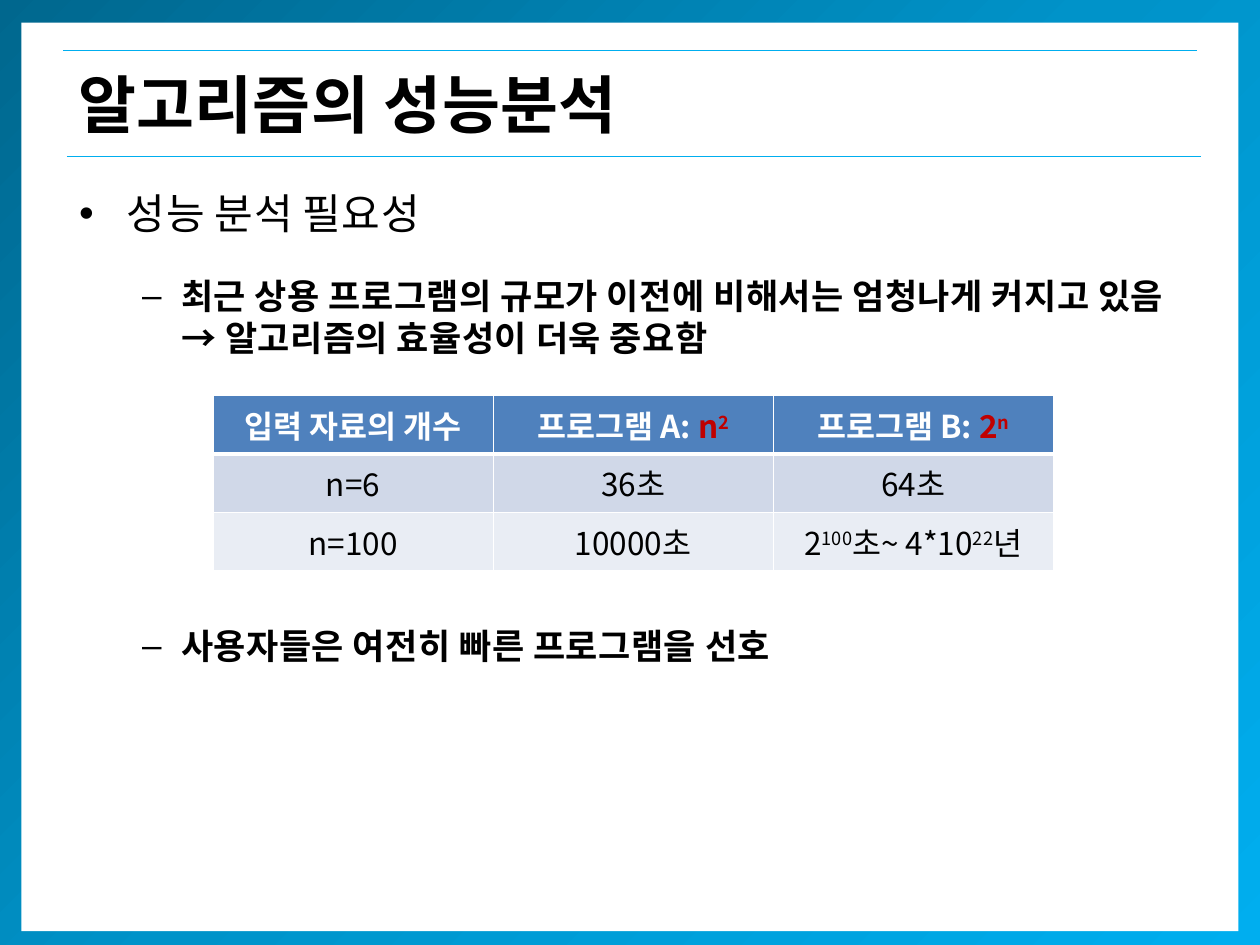
from copy import deepcopy

from lxml import etree
from pptx import Presentation
from pptx.dml.color import RGBColor
from pptx.enum import shapes, text
from pptx.oxml import ns
from pptx.util import Inches, Pt

FONT = "Noto Sans CJK KR"
BLACK = RGBColor(0x00, 0x00, 0x00)
WHITE = RGBColor(0xFF, 0xFF, 0xFF)
RED = RGBColor(0xC0, 0x00, 0x00)
CYAN = RGBColor(0x00, 0xAE, 0xEF)
FRAME_STOPS = [(0, RGBColor(0x00, 0x67, 0x8E)), (0.5, RGBColor(0x00, 0x93, 0xC9)), (1, CYAN)]
HEADER = RGBColor(0x4F, 0x81, 0xBD)
ROW_FILLS = [HEADER, RGBColor(0xD0, 0xD8, 0xE8), RGBColor(0xE9, 0xED, 0xF4)]

BODY = [
    ("성능 분석 필요성", "•", 24, False, 0.38, 0.38, 0),
    ("최근 상용 프로그램의 규모가 이전에 비해서는 엄청나게 커지고 있음 → 알고리즘의 효율성이 더욱 중요함",
     "–", 20, True, 0.81, 0.31, 21),
    ("사용자들은 여전히 빠른 프로그램을 선호", "–", 20, True, 0.81, 0.31, 152),
]
CELLS = [
    [[("입력 자료의 개수", WHITE, False)],
     [("프로그램 A: ", WHITE, False), ("n", RED, False), ("2", RED, True)],
     [("프로그램 B: ", WHITE, False), ("2", RED, False), ("n", RED, True)]],
    [[("n=6", BLACK, False)], [("36초", BLACK, False)], [("64초", BLACK, False)]],
    [[("n=100", BLACK, False)], [("10000초", BLACK, False)],
     [("2", BLACK, False), ("100", BLACK, True), ("초~ 4*10", BLACK, False),
      ("22", BLACK, True), ("년", BLACK, False)]],
]


def style_span(span, size, color, bold, raised=False, tracking=0):
    span.font.name = FONT
    span.font.size = Pt(size)
    span.font.bold = bold
    span.font.color.rgb = color
    properties = span._r.get_or_add_rPr()
    etree.SubElement(properties, ns.qn("a:ea"), typeface=FONT)
    if raised:
        properties.set("baseline", "30000")
    if tracking:
        properties.set("spc", str(tracking))


def add_panel(page, left, top, width, height):
    panel = page.shapes.add_shape(shapes.MSO_SHAPE.RECTANGLE, Inches(left), Inches(top),
                                  Inches(width), Inches(height))
    panel.shadow.inherit = False
    panel.line.fill.background()
    return panel


def fill_gradient(panel, stops):
    panel.fill.gradient()
    panel.fill.gradient_angle = 315
    stop_list = panel._element.spPr.find(".//" + ns.qn("a:gsLst"))
    stop_list.append(deepcopy(stop_list[0]))
    for stop, (position, color) in zip(panel.fill.gradient_stops, stops):
        stop.position = position
        stop.color.rgb = color


def add_rule(page, left, top):
    rule = page.shapes.add_connector(shapes.MSO_CONNECTOR.STRAIGHT, Inches(left), Inches(top),
                                     Inches(left + 9), Inches(top))
    rule.line.color.rgb = CYAN
    rule.line.width = Pt(0.75)
    etree.SubElement(rule._element.spPr, ns.qn("a:effectLst"))


def add_title(page, wording):
    title = page.shapes.title
    page.shapes._spTree.append(title._element)
    title.left, title.top, title.width, title.height = map(Inches, (0.52, 0.4, 9.07, 0.84))
    frame = title.text_frame
    frame.text = wording
    frame.vertical_anchor = text.MSO_ANCHOR.MIDDLE
    para = frame.paragraphs[0]
    para.alignment = text.PP_ALIGN.LEFT
    style_span(para.runs[0], 36, BLACK, True, tracking=20)


def add_body(page):
    box = page.shapes.add_textbox(Inches(0.53), Inches(1.44), Inches(9), Inches(4.95))
    frame = box.text_frame
    frame.word_wrap = True
    frame.text = "\n".join(item[0] for item in BODY)
    for para, (_, bullet, size, bold, margin, hanging, gap) in zip(frame.paragraphs, BODY):
        para.space_before = Pt(gap)
        style_span(para.runs[0], size, BLACK, bold, tracking=25)
        properties = para._p.get_or_add_pPr()
        properties.set("marL", str(Inches(margin)))
        properties.set("indent", str(-Inches(hanging)))
        etree.SubElement(properties, ns.qn("a:buFont"), typeface="Arial")
        etree.SubElement(properties, ns.qn("a:buChar"), char=bullet)


def add_border(cell, side, width):
    line = etree.SubElement(cell._tc.get_or_add_tcPr(), ns.qn("a:" + side), w=str(Pt(width)))
    fill = etree.SubElement(line, ns.qn("a:solidFill"))
    etree.SubElement(fill, ns.qn("a:srgbClr"), val=str(WHITE))


def fill_cell(cell, row, spans):
    for side in ("lnL", "lnR", "lnT", "lnB"):
        under_header = (row, side) in ((0, "lnB"), (1, "lnT"))
        add_border(cell, side, 3 if under_header else 0.5)
    cell.fill.solid()
    cell.fill.fore_color.rgb = ROW_FILLS[row]
    para = cell.text_frame.paragraphs[0]
    para.alignment = text.PP_ALIGN.CENTER
    for wording, color, raised in spans:
        span = para.add_run()
        span.text = wording
        style_span(span, 18, color, row == 0, raised)


def add_timing_table(page):
    table = page.shapes.add_table(3, 3, Inches(1.69), Inches(3.14), Inches(6.67), Inches(1.39)).table
    for row, contents in enumerate(CELLS):
        for column, spans in enumerate(contents):
            fill_cell(table.cell(row, column), row, spans)


def main():
    deck = Presentation()
    deck.slide_width, deck.slide_height = Inches(10), Inches(7.5)
    page = deck.slides.add_slide(deck.slide_layouts[5])
    fill_gradient(add_panel(page, 0, -0.04, 10, 7.59), FRAME_STOPS)
    paper = add_panel(page, 0.17, 0.18, 9.66, 7.21)
    paper.fill.solid()
    paper.fill.fore_color.rgb = WHITE
    add_rule(page, 0.5, 0.4)
    add_rule(page, 0.53, 1.24)
    add_title(page, "알고리즘의 성능분석")
    add_body(page)
    add_timing_table(page)
    deck.save("out.pptx")


if __name__ == "__main__":
    main()
